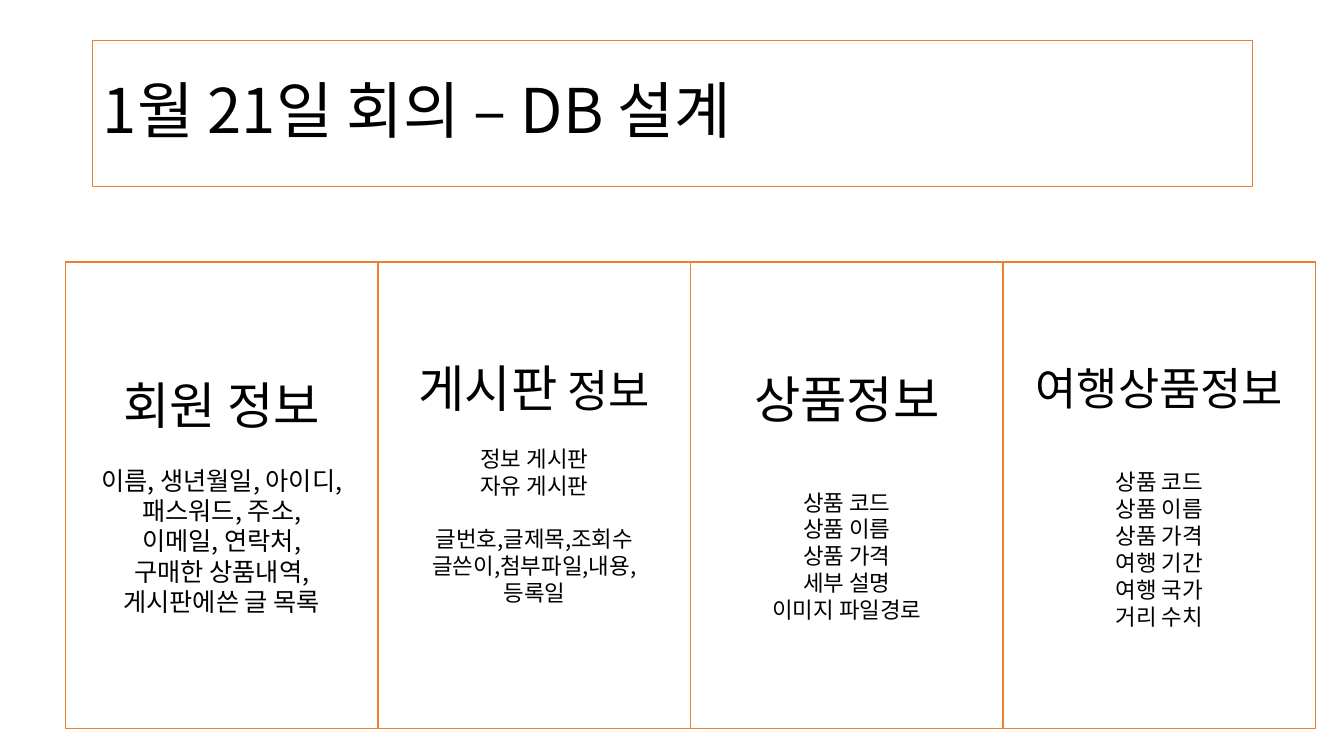
from dataclasses import dataclass

from lxml import etree
from pptx import Presentation
from pptx.dml.color import RGBColor
from pptx.enum.shapes import MSO_SHAPE
from pptx.enum.text import MSO_ANCHOR, MSO_AUTO_SIZE, PP_ALIGN
from pptx.oxml.ns import qn
from pptx.util import Inches, Pt

RECTANGLE = MSO_SHAPE.RECTANGLE
MIDDLE = MSO_ANCHOR.MIDDLE
NO_FIT = MSO_AUTO_SIZE.NONE
LEFT, CENTER = PP_ALIGN.LEFT, PP_ALIGN.CENTER


@dataclass(frozen=True)
class Theme:
    """Colours, font and type sizes of the slide."""
    font: str = "Noto Sans CJK KR"
    text: RGBColor = RGBColor(0, 0, 0)
    fill: RGBColor = RGBColor(255, 255, 255)
    line: RGBColor = RGBColor(0xED, 0x7D, 0x31)
    title: int = 44
    large: int = 36
    medium: int = 32
    member: int = 18
    body: int = 16
    line_height: float = 1.2


THEME = Theme()
TITLE = "1월 21일 회의 – DB 설계"

# Each card: heading spans with sizes, body size, gap size, groups of lines,
# and the bottom inset in inches.
CARDS = [
    ([("회원 정보", THEME.large)], THEME.member, THEME.member,
     [["이름, 생년월일, 아이디, 패스워드, 주소,", "이메일, 연락처,",
       "구매한 상품내역,", "게시판에쓴 글 목록"]], 0.05),
    ([("게시판", THEME.large), (" 정보", THEME.medium)], THEME.body, THEME.body,
     [["정보 게시판", "자유 게시판"],
      ["글번호,글제목,조회수", "글쓴이,첨부파일,내용,", "등록일"]], 0.32),
    ([("상품정보", THEME.large)], THEME.body, THEME.large,
     [["상품 코드", "상품 이름", "상품 가격", "세부 설명", "이미지 파일경로"]], 0.05),
    ([("여행상품정보", THEME.medium)], THEME.body, THEME.medium,
     [["상품 코드", "상품 이름", "상품 가격", "여행 기간", "여행 국가",
       "거리 수치"]], 0.05),
]
CARD_LEFT, CARD_TOP, CARD_WIDTH, CARD_HEIGHT = 0.65, 2.6, 3.1, 4.63


def style_span(span, size):
    """Give a run its font, for Latin and Korean text alike."""
    span.font.size = Pt(size)
    span.font.name = THEME.font
    span.font.color.rgb = THEME.text
    east_asian = etree.Element(qn("a:ea"), typeface=THEME.font)
    span.font._element.find(qn("a:latin")).addnext(east_asian)


def style_box(box):
    """Give a box its white fill, orange outline and centred anchor."""
    box.fill.solid()
    box.fill.fore_color.rgb = THEME.fill
    box.line.color.rgb = THEME.line
    box.line.width = Pt(1)
    frame = box.text_frame
    frame.word_wrap = True
    frame.auto_size = NO_FIT
    frame.vertical_anchor = MIDDLE


def fill_paragraph(para, spans, gap=0):
    """Write centred spans, with a gap above as high as a line of that size."""
    para.alignment = CENTER
    para.space_before = Pt(gap * THEME.line_height)
    for text, size in spans:
        span = para.add_run()
        span.text = text
        style_span(span, size)


def add_title(page):
    """Place and format the slide title."""
    box = page.shapes.title
    box.left, box.top = Inches(0.92), Inches(0.4)
    box.width, box.height = Inches(11.5), Inches(1.45)
    style_box(box)
    box.text_frame.text = TITLE
    para = box.text_frame.paragraphs[0]
    para.alignment = LEFT
    para.line_spacing = 0.9
    style_span(para.runs[0], THEME.title)


def add_card(page, column, heading, size, gap, groups, bottom):
    """Draw one column with its heading and groups of lines."""
    box = page.shapes.add_shape(
        RECTANGLE, Inches(CARD_LEFT + column * CARD_WIDTH), Inches(CARD_TOP),
        Inches(CARD_WIDTH), Inches(CARD_HEIGHT))
    box.shadow.inherit = False
    style_box(box)
    frame = box.text_frame
    frame.margin_bottom = Inches(bottom)
    fill_paragraph(frame.paragraphs[0], heading)
    for group in groups:
        for index, line in enumerate(group):
            fill_paragraph(frame.add_paragraph(), [(line, size)],
                           gap if index == 0 else 0)


deck = Presentation()
deck.slide_width, deck.slide_height = Inches(13.33), Inches(7.5)
page = deck.slides.add_slide(deck.slide_layouts[5])
add_title(page)
for column, card in enumerate(CARDS):
    add_card(page, column, *card)
deck.save("out.pptx")
